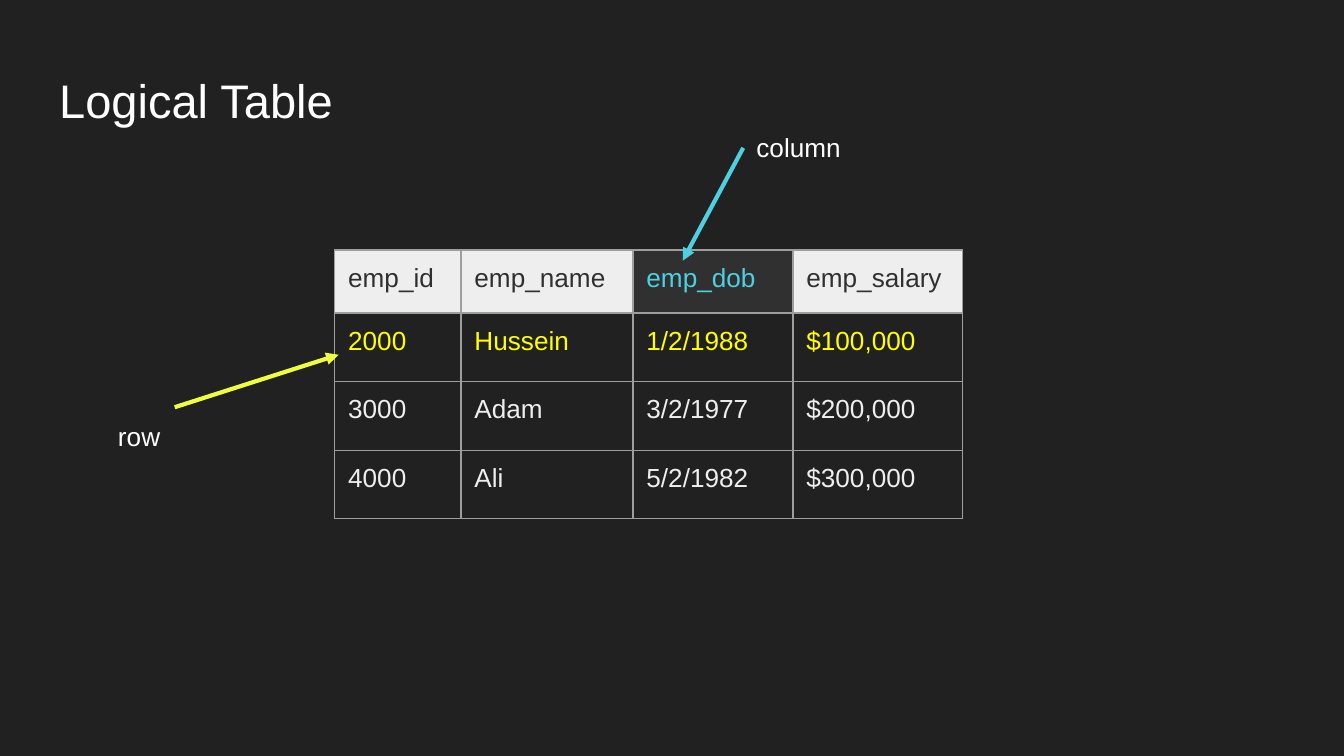
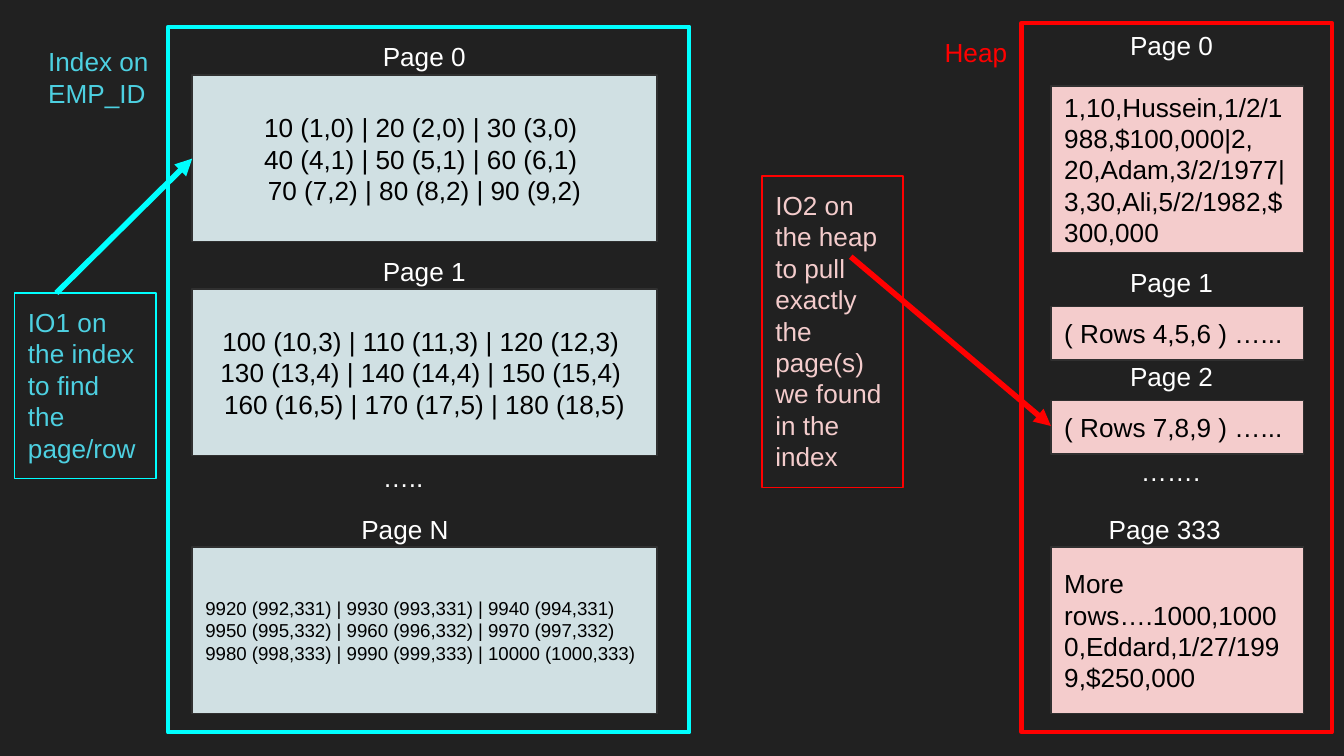
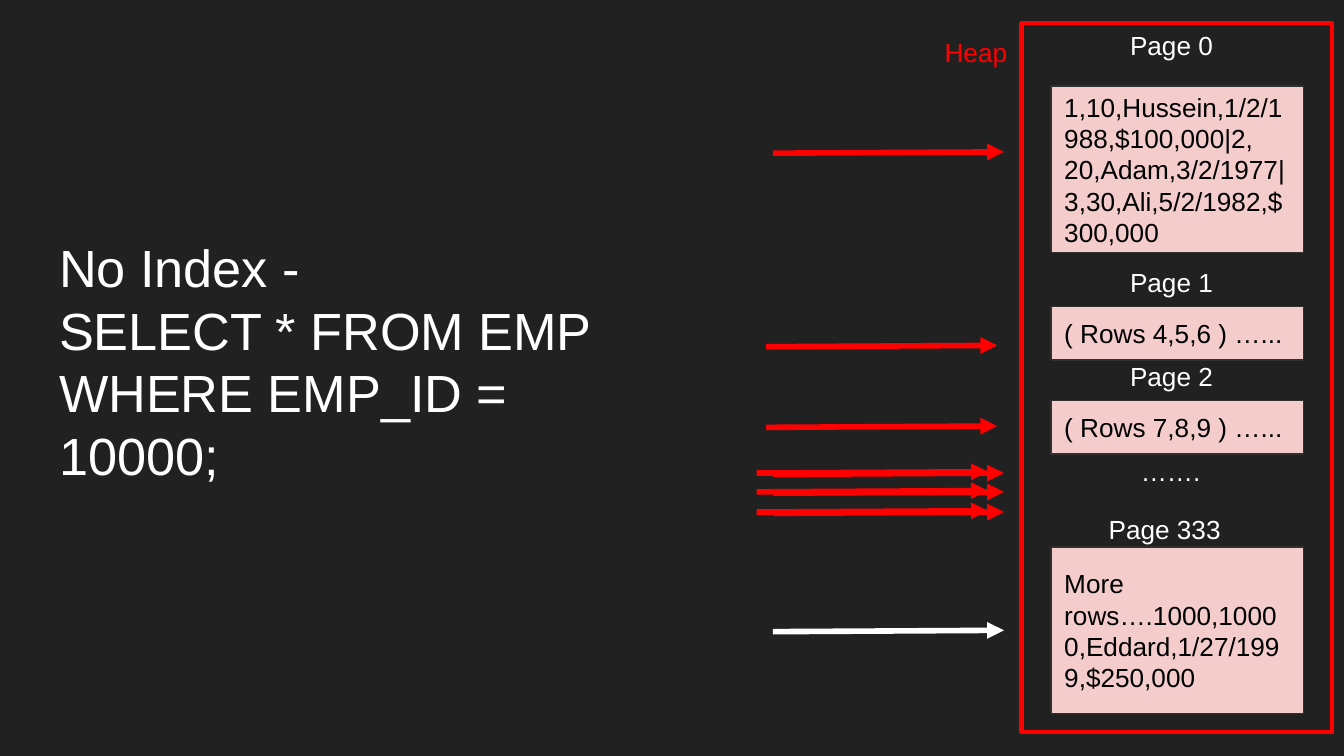
from lxml.etree import SubElement
from pptx import Presentation
from pptx.dml.color import RGBColor
from pptx.enum.shapes import MSO_CONNECTOR as Conn, MSO_SHAPE as Geo
from pptx.enum.text import MSO_ANCHOR as Anchor, MSO_AUTO_SIZE as Auto, PP_ALIGN as Align
from pptx.oxml.ns import qn
from pptx.util import Inches, Pt

WIDTH = 10
HEIGHT = WIDTH * 9 / 16
FONT = "Arial"
COLORS = {
    "back": "212121", "white": "FFFFFF", "black": "000000", "dark": "303030",
    "light": "EEEEEE", "grid": "9E9E9E", "teal": "4DD0E1", "cyan": "00FFFF",
    "yellow": "FFFF00", "lime": "EEFF41", "red": "FF0000",
    "blue": "D0E0E3", "pink": "F4CCCC",
}

# Logical table
TABLE = [
    ["emp_id", "emp_name", "emp_dob", "emp_salary"],
    ["2000", "Hussein", "1/2/1988", "$100,000"],
    ["3000", "Adam", "3/2/1977", "$200,000"],
    ["4000", "Ali", "5/2/1982", "$300,000"],
]
COLS = [0.94, 1.28, 1.19, 1.26]
ROWS = [0.47, 0.51, 0.51, 0.51]
KEY_ROW, KEY_COL = 1, 2

# Index pages: top, lines, size, alignment
INDEX = [
    (0.56, ["10 (1,0) | 20 (2,0) | 30 (3,0) ",
            "40 (4,1) | 50 (5,1) | 60 (6,1) ",
            "70 (7,2) | 80 (8,2) | 90 (9,2)"], 14, Align.CENTER),
    (2.15, ["100 (10,3) | 110 (11,3) | 120 (12,3) ",
            "130 (13,4) | 140 (14,4) | 150 (15,4) ",
            "160 (16,5) | 170 (17,5) | 180 (18,5)"], 14, Align.CENTER),
    (4.07, ["9920 (992,331) | 9930 (993,331) | 9940 (994,331) ",
            "9950 (995,332) | 9960 (996,332) | 9970 (997,332) ",
            "9980 (998,333) | 9990 (999,333) | 10000 (1000,333)"], 10, Align.JUSTIFY),
]
# Labels: text, left, top, width
INDEX_TAGS = [
    ("Page 0", 2.75, 0.2, 0.9), ("Page 1", 2.75, 1.8, 0.9),
    ("…..", 2.75, 3.33, 0.9), ("Page N", 2.59, 3.72, 0.9),
]

# Heap pages: top, height, text
HEAP = [
    (0.64, 1.24, "1,10,Hussein,1/2/1988,$100,000|2, 20,Adam,3/2/1977|"
                 "3,30,Ali,5/2/1982,$300,000"),
    (2.28, 0.4, "( Rows 4,5,6 ) …..."),
    (2.98, 0.4, "( Rows 7,8,9 ) …..."),
    (4.07, 1.24, "More rows….1000,10000,Eddard,1/27/1999,$250,000"),
]
HEAP_TAGS = [
    ("Page 0", 8.31, 0.12, 0.9), ("Page 1", 8.31, 1.88, 0.9),
    ("Page 2", 8.31, 2.58, 0.9), ("…….", 8.39, 3.29, 0.9),
    ("Page 333", 8.15, 3.72, 1.15),
]

# Full scan arrows: left, top, colour
SKIPS = [3.52, 3.66, 3.81]
SCANS = [(5.75, 1.14, "red"), (5.7, 2.58, "red"), (5.7, 3.18, "red")]
SCANS += [(5.63, y, "red") for y in SKIPS]
SCANS += [(5.75, y + 0.01, "red") for y in SKIPS]
SCANS += [(5.75, 4.7, "white")]
SCAN_LEN = 1.72


def rgb(name):
    """Return a named colour."""
    return RGBColor.from_string(COLORS[name])


def write(frame, lines, color, size=14, align=Align.LEFT, anchor=Anchor.TOP):
    """Put lines of text in a frame and format them."""
    frame.text = "\n".join(lines)
    frame.word_wrap = True
    frame.vertical_anchor = anchor
    frame.margin_left = frame.margin_right = Inches(0.1)
    frame.margin_top = frame.margin_bottom = Inches(0.1)
    for para in frame.paragraphs:
        para.alignment = align
        for run in para.runs:
            run.font.name = FONT
            run.font.size = Pt(size)
            run.font.color.rgb = rgb(color)


def add_title(slide, lines, box, size):
    """Move and fill the title placeholder."""
    title = slide.shapes.title
    title.left, title.top, title.width, title.height = map(Inches, box)
    write(title.text_frame, lines, "white", size)
    title.text_frame.auto_size = Auto.NONE


def add_tag(slide, text, left, top, width, color="white", height=0.44):
    """Add a plain text label."""
    tag = slide.shapes.add_textbox(*map(Inches, (left, top, width, height)))
    write(tag.text_frame, [text], color)
    tag.text_frame.auto_size = Auto.SHAPE_TO_FIT_TEXT


def add_box(slide, box, line, weight=0.75, fill=None):
    """Add a rectangle, hollow unless a fill is named."""
    rect = slide.shapes.add_shape(Geo.RECTANGLE, *map(Inches, box))
    rect.shadow.inherit = False
    rect.line.color.rgb = rgb(line)
    rect.line.width = Pt(weight)
    if fill:
        rect.fill.solid()
        rect.fill.fore_color.rgb = rgb(fill)
    else:
        rect.fill.background()
    return rect


def add_page(slide, box, lines, fill, size=14, align=Align.LEFT):
    """Add a filled page with its rows."""
    page = add_box(slide, box, "dark", fill=fill)
    write(page.text_frame, lines, "black", size, align, Anchor.MIDDLE)


def add_note(slide, box, text, line, color):
    """Add an outlined note."""
    note = add_box(slide, box, line)
    write(note.text_frame, [text], color)
    note.text_frame.auto_size = Auto.SHAPE_TO_FIT_TEXT


def add_arrow(slide, start, end, color, weight=3):
    """Add a straight arrow with its head at the end."""
    arrow = slide.shapes.add_connector(Conn.STRAIGHT, *map(Inches, start + end))
    arrow.line.color.rgb = rgb(color)
    arrow.line.width = Pt(weight)
    props = arrow._element.spPr
    SubElement(props.find(qn("a:ln")), qn("a:tailEnd"), type="triangle")
    SubElement(props, qn("a:effectLst"))


def add_edges(cell):
    """Draw thin lines on the four sides of a cell."""
    props = cell._tc.get_or_add_tcPr()
    for side in ("lnL", "lnR", "lnT", "lnB"):
        edge = SubElement(props, qn("a:" + side), w=str(Pt(0.75)))
        fill = SubElement(edge, qn("a:solidFill"))
        SubElement(fill, qn("a:srgbClr"), val=COLORS["grid"])


def cell_look(row, col):
    """Return the text and fill colours of a table cell."""
    if row == 0:
        return ("teal", "dark") if col == KEY_COL else ("dark", "light")
    return ("yellow" if row == KEY_ROW else "light"), None


def add_grid(slide, left, top):
    """Add the employee table."""
    size = (left, top, sum(COLS), sum(ROWS))
    grid = slide.shapes.add_table(len(ROWS), len(COLS), *map(Inches, size)).table
    grid.first_row = grid.horz_banding = False
    for col, width in zip(grid.columns, COLS):
        col.width = Inches(width)
    for r, texts in enumerate(TABLE):
        grid.rows[r].height = Inches(ROWS[r])
        for c, text in enumerate(texts):
            cell = grid.cell(r, c)
            color, fill = cell_look(r, c)
            write(cell.text_frame, [text], color)
            cell.margin_left = cell.margin_right = Inches(0.1)
            cell.margin_top = cell.margin_bottom = Inches(0.1)
            add_edges(cell)
            if fill:
                cell.fill.solid()
                cell.fill.fore_color.rgb = rgb(fill)
            else:
                cell.fill.background()


def add_index(slide):
    """Draw the index with its pages."""
    add_box(slide, (1.25, 0.2, 3.88, 5.25), "cyan", 2.25)
    add_tag(slide, "Index on EMP_ID", 0.26, 0.24, 1.31, "teal", 0.67)
    for top, lines, size, align in INDEX:
        add_page(slide, (1.43, top, 3.46, 1.24), lines, "blue", size, align)
    for tag in INDEX_TAGS:
        add_tag(slide, *tag)


def add_heap(slide):
    """Draw the heap with its pages."""
    add_tag(slide, "Heap", 6.93, 0.17, 0.85, "red")
    add_box(slide, (7.6, 0.17, 2.31, 5.28), "red", 2.25)
    for top, height, text in HEAP:
        add_page(slide, (7.82, top, 1.88, height), [text], "pink")
    for tag in HEAP_TAGS:
        add_tag(slide, *tag)


def table_slide(slide):
    """Show a table with a row and a column pointed out."""
    add_title(slide, ["Logical Table"], (0.34, 0.43, 9.32, 0.63), 25.2)
    add_grid(slide, 2.49, 1.86)
    add_tag(slide, "column", 5.53, 0.88, 1.03)
    add_arrow(slide, (5.53, 1.1), (5.08, 1.94), "teal", 2.25)
    add_tag(slide, "row", 0.78, 3.03, 1.03)
    add_arrow(slide, (1.3, 3.03), (2.52, 2.64), "lime", 2.25)


def index_slide(slide):
    """Show a lookup through the index into the heap."""
    add_index(slide)
    add_heap(slide)
    add_arrow(slide, (0.42, 2.18), (1.43, 1.18), "cyan")
    add_note(slide, (0.11, 2.18, 1.05, 1.38),
             "IO1 on the index to find the page/row", "cyan", "teal")
    add_arrow(slide, (6.33, 1.91), (7.82, 3.17), "red")
    add_note(slide, (5.67, 1.31, 1.05, 2.32),
             "IO2 on the heap to pull exactly the page(s) we found in the index",
             "red", "pink")


def scan_slide(slide):
    """Show a full scan of the heap."""
    add_heap(slide)
    add_title(slide, ["No Index - ", "SELECT * FROM EMP WHERE EMP_ID = 10000;"],
              (0.34, 1.65, 4.66, 2.33), 28)
    for left, top, color in SCANS:
        add_arrow(slide, (left, top), (left + SCAN_LEN, top - 0.01), color)


deck = Presentation()
deck.slide_width, deck.slide_height = Inches(WIDTH), Inches(HEIGHT)
back = deck.slide_master.background.fill
back.solid()
back.fore_color.rgb = rgb("back")
TITLED, BLANK = deck.slide_layouts[5], deck.slide_layouts[6]
for layout, draw in [(TITLED, table_slide), (BLANK, index_slide), (TITLED, scan_slide)]:
    draw(deck.slides.add_slide(layout))
deck.save("out.pptx")
